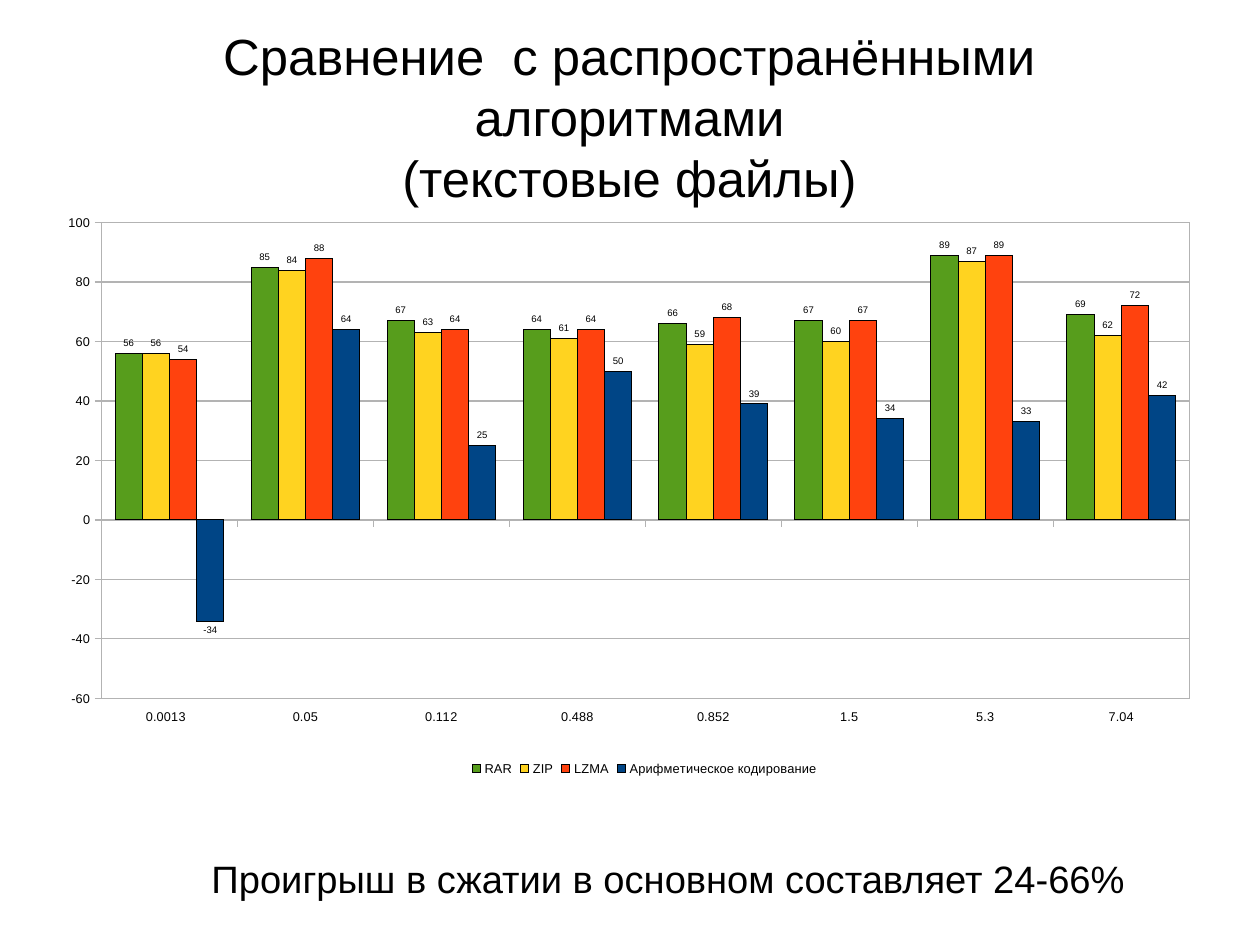
from lxml import etree
from pptx import Presentation, util as u
from pptx.chart.data import CategoryChartData
from pptx.dml.color import RGBColor
from pptx.enum import chart as kinds, text
from pptx.oxml.ns import qn

FONT = "Arial"
BLACK, GREY = "000000", "B3B3B3"
SLIDE_WIDTH, SLIDE_HEIGHT = 793.7, 595.28
TITLE = ["Сравнение  с распространёнными алгоритмами", "(текстовые файлы)"]
CONCLUSION = ["Проигрыш в сжатии в основном составляет 24-66%"]
FILE_SIZES = ["0.0013  ", "0.05", "0.112", "0.488", "0.852", "1.5", "5.3", "7.04"]
ALGORITHMS = [
    ("RAR", "579D1C", [56, 85, 67, 64, 66, 67, 89, 69]),
    ("ZIP", "FFD320", [56, 84, 63, 61, 59, 60, 87, 62]),
    ("LZMA", "FF420E", [54, 88, 64, 64, 68, 67, 89, 72]),
    ("Арифметическое кодирование", "004586", [-34, 64, 25, 50, 39, 34, 33, 42]),
]
TITLE_BOX = (39.6, 19.4, 714.2, 108)
CHART_BOX = (28.1, 128.2, 751, 398.2)
CONCLUSION_BOX = (42.5, 538.6, 722.9, 42.5)
PLOT_AREA = {"x": 35.9, "y": 12, "w": 685.2, "h": 299.8}
LEGEND_AREA = {"x": 266.6, "y": 348.7}


def color(value):
    return RGBColor.from_string(value)


def place(box):
    return [u.Pt(length) for length in box]


def style_font(font, size):
    font.name, font.size = FONT, u.Pt(size)
    font.color.rgb = color(BLACK)


def style_line(line, value):
    line.color.rgb = color(value)
    line.width = u.Pt(0)


def add_text(page, box, lines, size, anchor, indent=0):
    frame = page.shapes.add_textbox(*place(box)).text_frame
    frame.word_wrap = True
    frame.vertical_anchor = anchor
    frame.margin_left = frame.margin_top = frame.margin_right = frame.margin_bottom = 0
    para = frame.paragraphs[0]
    para.alignment = text.PP_ALIGN.CENTER
    if indent:
        para._p.get_or_add_pPr().set("marL", str(u.Pt(indent)))
    for index, line in enumerate(lines):
        if index:
            para.add_line_break()
        span = para.add_run()
        span.text = line
        style_font(span.font, size)


def make_layout(area, inner=False):
    layout = etree.Element(qn("c:layout"))
    manual = etree.SubElement(layout, qn("c:manualLayout"))
    settings = {"layoutTarget": "inner"} if inner else {}
    settings.update(xMode="edge", yMode="edge")
    for name, length in area.items():
        whole = CHART_BOX[2] if name in "xw" else CHART_BOX[3]
        settings[name] = round(length / whole, 4)
    for name, value in settings.items():
        etree.SubElement(manual, qn("c:" + name)).set("val", str(value))
    return layout


def frame_plot(area):
    for old in area.findall(qn("c:layout")):
        area.remove(old)
    area.insert(0, make_layout(PLOT_AREA, inner=True))
    properties = etree.SubElement(area, qn("c:spPr"))
    etree.SubElement(properties, qn("a:noFill"))
    border = etree.SubElement(properties, qn("a:ln"), w="0")
    fill = etree.SubElement(border, qn("a:solidFill"))
    etree.SubElement(fill, qn("a:srgbClr"), val=GREY)


def add_comparison(page):
    data = CategoryChartData()
    data.categories = FILE_SIZES
    for name, _, values in ALGORITHMS:
        data.add_series(name, values)
    chart = page.shapes.add_chart(
        kinds.XL_CHART_TYPE.COLUMN_CLUSTERED, *place(CHART_BOX), data).chart
    style_font(chart.font, 10)
    chart.has_title = False

    plot = chart.plots[0]
    plot.gap_width, plot.overlap, plot.vary_by_categories = 100, 0, False
    for series, (_, fill, _) in zip(plot.series, ALGORITHMS):
        series.invert_if_negative = False
        series.format.fill.solid()
        series.format.fill.fore_color.rgb = color(fill)
        style_line(series.format.line, BLACK)
        labels = series.data_labels
        labels.show_value = True
        labels.position = kinds.XL_LABEL_POSITION.OUTSIDE_END
        style_font(labels.font, 6)

    for axis in (chart.category_axis, chart.value_axis):
        axis.major_tick_mark = kinds.XL_TICK_MARK.OUTSIDE
        axis.minor_tick_mark = kinds.XL_TICK_MARK.NONE
        style_font(axis.tick_labels.font, 8)
        style_line(axis.format.line, GREY)
    chart.category_axis.tick_label_position = kinds.XL_TICK_LABEL_POSITION.LOW
    values = chart.value_axis
    values.minimum_scale, values.maximum_scale, values.major_unit = -60, 100, 20
    values.has_major_gridlines = True
    style_line(values.major_gridlines.format.line, GREY)
    frame_plot(chart._chartSpace.chart.plotArea)

    chart.has_legend = True
    legend = chart.legend
    legend.position = kinds.XL_LEGEND_POSITION.BOTTOM
    legend.include_in_layout = False
    style_font(legend.font, 8.1)
    for old in legend._element.findall(qn("c:layout")):
        legend._element.remove(old)
    legend._element.find(qn("c:legendPos")).addnext(make_layout(LEGEND_AREA))


def main():
    deck = Presentation()
    deck.slide_width = u.Pt(SLIDE_WIDTH)
    deck.slide_height = u.Pt(SLIDE_HEIGHT)
    page = deck.slides.add_slide(deck.slide_layouts[6])
    add_text(page, TITLE_BOX, TITLE, 32, text.MSO_ANCHOR.MIDDLE)
    add_comparison(page)
    add_text(page, CONCLUSION_BOX, CONCLUSION, 24, text.MSO_ANCHOR.TOP, indent=34)
    deck.save("out.pptx")


if __name__ == "__main__":
    main()
